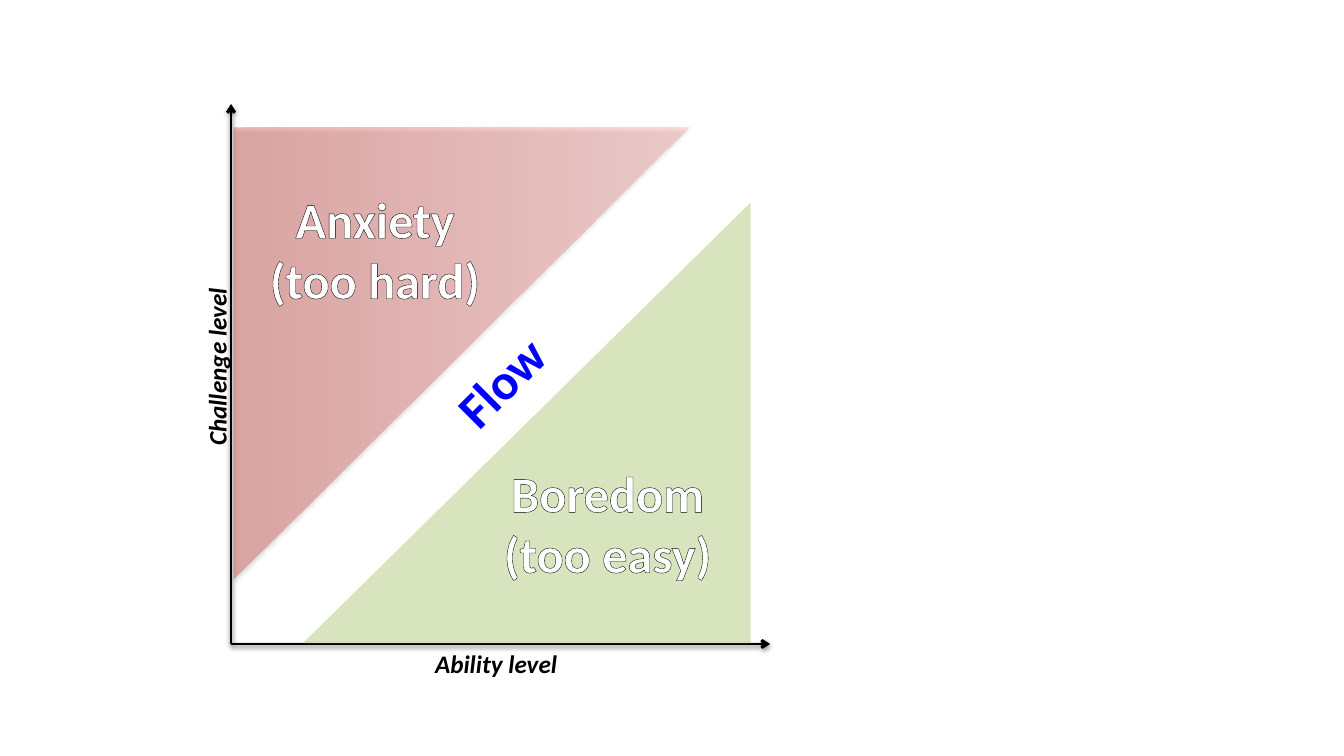
"""Build the flow diagram that sets challenge level against ability level."""
from lxml import etree
from pptx import Presentation
from pptx.dml.color import RGBColor
from pptx.enum.shapes import MSO_CONNECTOR, MSO_SHAPE
from pptx.enum.text import MSO_ANCHOR, MSO_AUTO_SIZE, PP_ALIGN
from pptx.oxml.ns import qn
from pptx.util import Emu, Inches, Pt

STRAIGHT = MSO_CONNECTOR.STRAIGHT
RIGHT_TRIANGLE = MSO_SHAPE.RIGHT_TRIANGLE
TOP = MSO_ANCHOR.TOP
FIT_SHAPE = MSO_AUTO_SIZE.SHAPE_TO_FIT_TEXT
CENTER = PP_ALIGN.CENTER
EMU_PER_PX = 914400 / 100.8
BLANK_LAYOUT = 6

THEME = {
    "ink": "000000",
    "anxiety": ("D1403C", "FFA6A5"),
    "anxiety_alpha": 37,
    "boredom": "9BBB59",
    "boredom_alpha": 39,
    "zone_text": "FFFFFF",
    "flow_text": "0000FF",
    "flow_outline": "3366FF",
    "font": "Calibri",
    "axis_size": 18,
    "zone_size": 36,
    "axis_width": 2,
    "outline_width": 0.75,
}
AXIS_FORMAT = {"name": THEME["font"], "size": Pt(THEME["axis_size"]), "bold": True, "italic": True}
ZONE_FORMAT = {"name": THEME["font"], "size": Pt(THEME["zone_size"]), "bold": True}


def px(length):
    """Turn a length in px into EMU."""
    return Emu(round(length * EMU_PER_PX))


def set_alpha(fill_element, percent):
    """Give every colour inside a fill the same opacity."""
    for color in fill_element.iter(qn("a:srgbClr")):
        etree.SubElement(color, qn("a:alpha"), val=str(percent * 1000))


def add_shadow(item, percent, distance):
    """Put a soft shadow straight below an item."""
    effects = etree.SubElement(item.element.spPr, qn("a:effectLst"))
    shadow = etree.SubElement(effects, qn("a:outerShdw"), blurRad=str(Pt(3.1)),
                              dist=str(Pt(distance)), dir="5400000", rotWithShape="0")
    color = etree.SubElement(shadow, qn("a:srgbClr"), val=THEME["ink"])
    etree.SubElement(color, qn("a:alpha"), val=str(percent * 1000))


def add_triangle(page, box, rotation):
    """Add a right triangle without an outline."""
    triangle = page.shapes.add_shape(RIGHT_TRIANGLE, *map(px, box))
    triangle.rotation = rotation
    triangle.line.fill.background()
    return triangle


def add_anxiety_zone(page, box):
    """Add the shaded triangle for tasks that are too hard."""
    zone = add_triangle(page, box, 90)
    zone.fill.gradient()
    zone.fill.gradient_angle = 90
    for stop, color in zip(zone.fill.gradient_stops, THEME["anxiety"]):
        stop.color.rgb = RGBColor.from_string(color)
    set_alpha(zone.element.spPr.find(qn("a:gradFill")), THEME["anxiety_alpha"])
    add_shadow(zone, 35, 1.8)


def add_boredom_zone(page, box):
    """Add the plain triangle for tasks that are too easy."""
    zone = add_triangle(page, box, 270)
    zone.shadow.inherit = False
    zone.fill.solid()
    zone.fill.fore_color.rgb = RGBColor.from_string(THEME["boredom"])
    set_alpha(zone.element.spPr.find(qn("a:solidFill")), THEME["boredom_alpha"])


def add_axis(page, start, end):
    """Add an axis with an arrowhead at its end."""
    axis = page.shapes.add_connector(STRAIGHT, *map(px, start + end))
    axis.line.width = Pt(THEME["axis_width"])
    axis.line.color.rgb = RGBColor.from_string(THEME["ink"])
    etree.SubElement(axis.element.spPr.find(qn("a:ln")), qn("a:tailEnd"), type="arrow")
    add_shadow(axis, 38, 1.6)


def add_outline(span, color):
    """Draw a thin outline round the letters of a span."""
    line = etree.Element(qn("a:ln"), w=str(Pt(THEME["outline_width"])))
    fill = etree.SubElement(line, qn("a:solidFill"))
    etree.SubElement(fill, qn("a:srgbClr"), val=color)
    span.font._element.insert(0, line)


def add_label(page, box, lines, text_format, color, rotation=0, outline=None):
    """Add a centred label with one paragraph for each line."""
    label = page.shapes.add_textbox(*map(px, box))
    label.rotation = rotation
    frame = label.text_frame
    frame_format = {"word_wrap": False, "auto_size": FIT_SHAPE, "vertical_anchor": TOP}
    for name, value in frame_format.items():
        setattr(frame, name, value)
    for index, line in enumerate(lines):
        para = frame.add_paragraph() if index else frame.paragraphs[0]
        para.alignment = CENTER
        span = para.add_run()
        span.text = line
        for name, value in text_format.items():
            setattr(span.font, name, value)
        span.font.color.rgb = RGBColor.from_string(color)
        if outline:
            add_outline(span, outline)


def main():
    """Build and save the slide."""
    deck = Presentation()
    deck.slide_width, deck.slide_height = Inches(13.33), Inches(7.5)
    page = deck.slides.add_slide(deck.slide_layouts[BLANK_LAYOUT])
    origin = (231, 644)
    ink, white = THEME["ink"], THEME["zone_text"]

    add_anxiety_zone(page, (235, 126, 452, 455))
    add_axis(page, origin, (231, 104))
    add_axis(page, origin, (770, 644))
    add_boredom_zone(page, (306, 199, 441, 448))

    add_label(page, (424, 643, 144, 40), ["Ability level"], AXIS_FORMAT, ink)
    add_label(page, (127, 347, 179, 40), ["Challenge level"], AXIS_FORMAT, ink, 270)
    add_label(page, (258, 183, 234, 132), ["Anxiety", "(too hard)"], ZONE_FORMAT, white,
              outline=ink)
    add_label(page, (492, 457, 231, 132), ["Boredom", "(too easy)"], ZONE_FORMAT, white,
              outline=ink)
    add_label(page, (440, 346, 122, 72), ["Flow"], ZONE_FORMAT, THEME["flow_text"], 315,
              THEME["flow_outline"])
    deck.save("out.pptx")


if __name__ == "__main__":
    main()
